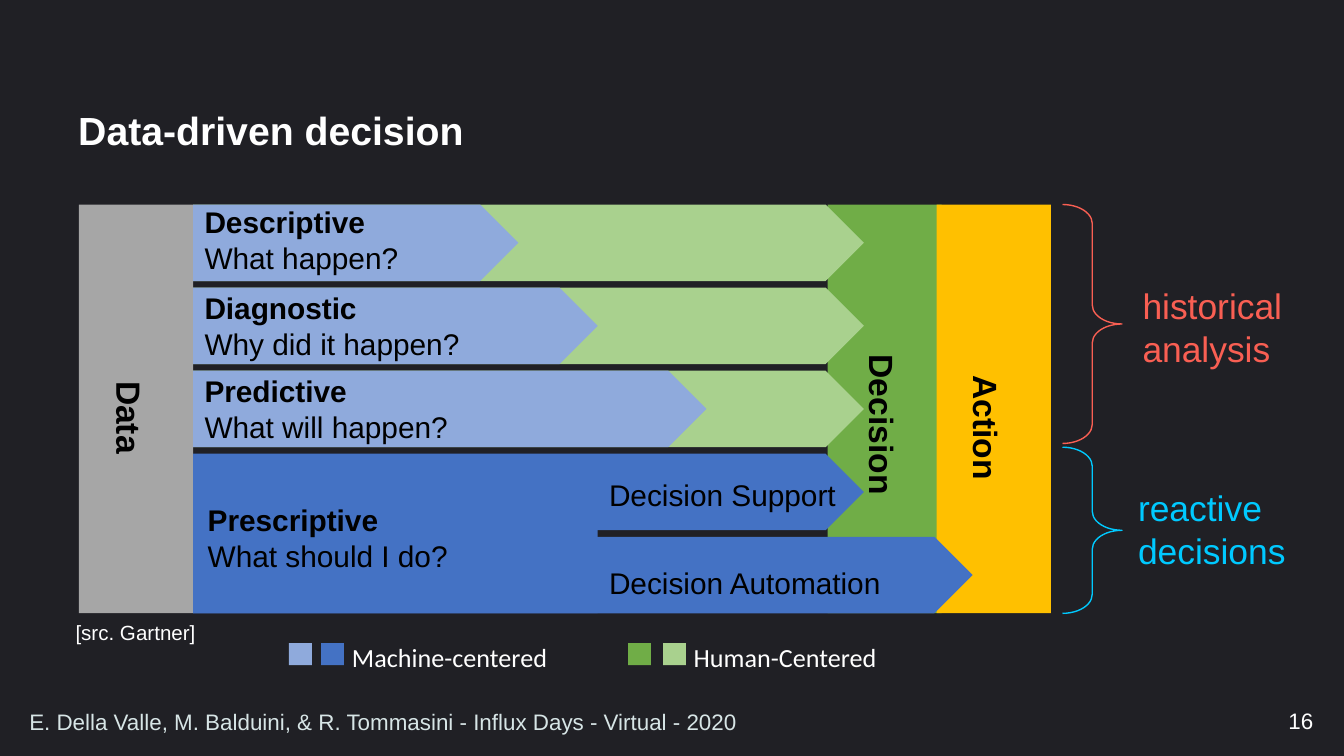
"""Build the data-driven decision slide."""
from dataclasses import dataclass

from pptx import Presentation
from pptx.dml.color import RGBColor
from pptx.enum.shapes import MSO_SHAPE
from pptx.enum.text import MSO_ANCHOR, PP_ALIGN
from pptx.util import Pt


@dataclass(frozen=True)
class Theme:
    """Hold the colours, fonts and type sizes."""
    night: str = "202025"
    white: str = "FFFFFF"
    black: str = "000000"
    mist: str = "D7E5E6"
    gray: str = "A6A6A6"
    gold: str = "FFC000"
    green: str = "70AD47"
    lime: str = "A9D18E"
    blue: str = "4472C4"
    sky: str = "8FAADC"
    red: str = "F95F53"
    cyan: str = "00C9FF"
    font: str = "Arial"
    key_font: str = "Calibri"
    title: int = 21
    side: int = 19
    pillar: int = 18
    body: int = 16
    key: int = 14
    foot: int = 12
    source: int = 11


THEME = Theme()
WIDE, HIGH = 720, 405
TOP, STEP, ROW = 109.6, 44.5, 41
LEFT, PILLAR = 103.5, 61.2
FULL = 4 * STEP + ROW
PLATE = 359.3


def shade(hue):
    """Turn a hex string into a colour."""
    return RGBColor.from_string(hue)


def block(slide, kind, box, hue):
    """Add a filled shape without outline."""
    shape = slide.shapes.add_shape(kind, *map(Pt, box))
    shape.shadow.inherit = False
    shape.fill.solid()
    shape.fill.fore_color.rgb = shade(hue)
    shape.line.fill.background()


def brace(slide, box, hue):
    """Add a right brace drawn as a thin line."""
    shape = slide.shapes.add_shape(MSO_SHAPE.RIGHT_BRACE, *map(Pt, box))
    shape.shadow.inherit = False
    shape.adjustments[0], shape.adjustments[1] = 0.32, 0.5
    shape.fill.background()
    shape.line.color.rgb = shade(hue)
    shape.line.width = Pt(0.75)


def label(slide, text, box, size=THEME.body, hue=THEME.black, font=THEME.font,
          bold=False, turn=0, wrap=False, anchor=MSO_ANCHOR.TOP,
          align=PP_ALIGN.LEFT, space=None):
    """Add a text box whose first line may be bold."""
    shape = slide.shapes.add_textbox(*map(Pt, box))
    shape.rotation = turn
    frame = shape.text_frame
    frame.word_wrap = wrap
    frame.vertical_anchor = anchor
    frame.text = text
    for index, para in enumerate(frame.paragraphs):
        para.alignment = align
        para.line_spacing = space
        face = para.runs[0].font
        face.name, face.size = font, Pt(size)
        face.color.rgb = shade(hue)
        face.bold = bold and index == 0


def pillars(slide):
    """Draw the backdrop and the tall columns."""
    block(slide, MSO_SHAPE.RECTANGLE, (0, 0, WIDE, HIGH), THEME.night)
    for left, hue in ((443.3, THEME.green), (42.3, THEME.gray), (501.8, THEME.gold)):
        block(slide, MSO_SHAPE.RECTANGLE, (left, TOP, PILLAR, FULL), hue)


def plates(slide):
    """Draw the arrow rows, human part below machine part."""
    rows = [(row, PLATE, THEME.lime) for row in range(3)]
    rows += [(3, PLATE, THEME.blue), (4, 417.6, THEME.blue)]
    rows += [(row, wide, THEME.sky) for row, wide in enumerate((174.2, 216.7, 275))]
    for row, wide, hue in rows:
        block(slide, MSO_SHAPE.PENTAGON, (LEFT, TOP + row * STEP, wide, ROW), hue)
    block(slide, MSO_SHAPE.RECTANGLE,
          (LEFT, TOP + 3 * STEP + 0.4, 216.7, STEP + ROW - 0.4), THEME.blue)


def names(slide):
    """Write the labels on columns and rows."""
    for text, left, top, wide in (("Action", 492, 221.2, 78),
                                  ("Data", 40, 217.2, 64),
                                  ("Decision", 425.2, 221, 100)):
        label(slide, text, (left, top, wide, 23.8),
              size=THEME.pillar, bold=True, turn=90)
    for text, left, top in (
            ("Descriptive\nWhat happen?", 102.5, 105.5),
            ("Diagnostic\nWhy did it happen?", 102.5, 151.5),
            ("Predictive\nWhat will happen?", 102.5, 196.1),
            ("Prescriptive\nWhat should I do?", 104.2, 265.2)):
        label(slide, text, (left, top, 160, 41), bold=True)
    label(slide, "Decision Support", (319.2, 252, 150, 25))
    label(slide, "Decision Automation", (319.2, 299, 175, 25))


def legend(slide):
    """Draw the colour key."""
    for left, hue in ((154.8, THEME.sky), (172, THEME.blue),
                      (336.5, THEME.green), (355.2, THEME.lime)):
        block(slide, MSO_SHAPE.RECTANGLE, (left, 344.6, 12.3, 11.7), hue)
    for text, left, wide in (("Machine-centered", 181.5, 130),
                             ("Human-Centered", 364.5, 235.4)):
        label(slide, text, (left, 340.2, wide, 25), size=THEME.key,
              hue=THEME.white, font=THEME.key_font)


def sides(slide):
    """Draw the braces and their captions."""
    brace(slide, (569.2, TOP, 31.9, 128), THEME.red)
    brace(slide, (569.2, 239.6, 31.9, 89), THEME.cyan)
    label(slide, "historical\nanalysis", (605, 148.8, 95.8, 53.3),
          size=THEME.side, hue=THEME.red)
    label(slide, "reactive decisions", (602.6, 257, 114.5, 53.3),
          size=THEME.side, hue=THEME.cyan, wrap=True)


def notes(slide):
    """Write the title, source and footer."""
    middle = MSO_ANCHOR.MIDDLE
    label(slide, "Data-driven decision", (34.8, 48.2, 650, 46), size=THEME.title,
          hue=THEME.white, bold=True, wrap=True, anchor=middle, space=0.9)
    label(slide, "[src. Gartner]", (33.4, 328.6, 79.2, 20.9),
          size=THEME.source, hue=THEME.white)
    label(slide, "E. Della Valle, M. Balduini, & R. Tommasini - Influx Days - Virtual - 2020",
          (8.6, 376, 536.4, 21), size=THEME.foot, hue=THEME.mist,
          wrap=True, anchor=middle)
    label(slide, "16", (548.6, 375.3, 162, 21.6), size=THEME.foot, hue=THEME.white,
          wrap=True, anchor=middle, align=PP_ALIGN.RIGHT)


def main():
    """Build and save the slide."""
    deck = Presentation()
    deck.slide_width, deck.slide_height = Pt(WIDE), Pt(HIGH)
    slide = deck.slides.add_slide(deck.slide_layouts[6])
    for draw in (pillars, plates, names, legend, sides, notes):
        draw(slide)
    deck.save("out.pptx")


if __name__ == "__main__":
    main()
